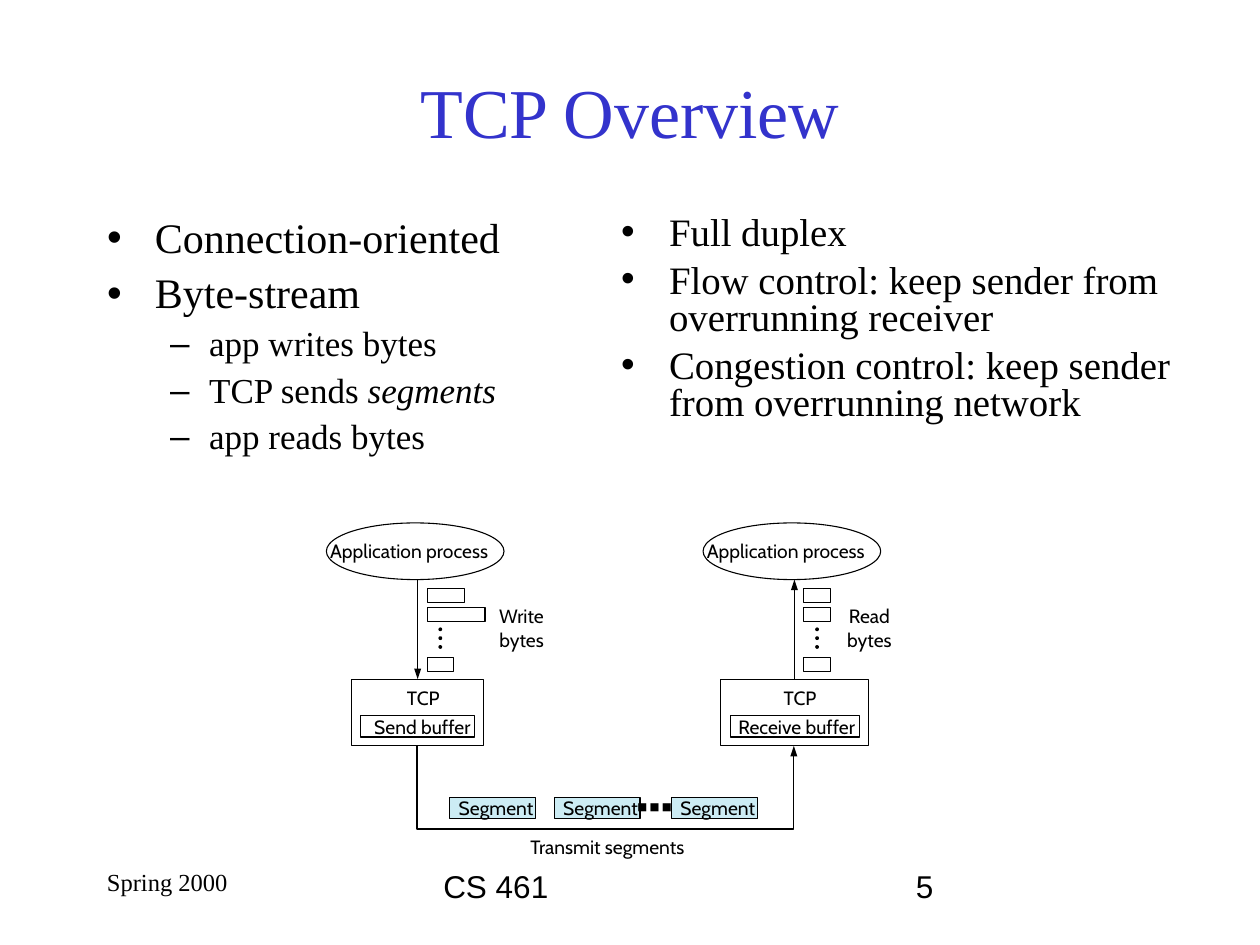
"""Build the TCP Overview slide with its two bullet lists and data-flow diagram."""
from dataclasses import dataclass

from lxml import etree
from pptx import Presentation
from pptx.dml.color import RGBColor
from pptx.enum import shapes, text
from pptx.oxml import ns
from pptx.util import Inches, Pt


@dataclass(frozen=True)
class Theme:
    title: str = "3333CC"
    ink: str = "000000"
    paper: str = "FFFFFF"
    segment: str = "CCECF4"
    serif: str = "Times New Roman"
    sans: str = "Arial"
    diagram: str = "Cabin"
    title_pt: float = 40
    left_pt: float = 24
    sub_pt: float = 20
    right_pt: float = 22.2
    footer_pt: float = 18
    date_pt: float = 14
    label_pt: float = 11
    dots_pt: float = 6
    line_pt: float = 0.62


T = Theme()
RECT, OVAL = shapes.MSO_SHAPE.RECTANGLE, shapes.MSO_SHAPE.OVAL


def write(p, content, size=T.label_pt, font=T.diagram, color=T.ink, italic=False):
    r = p.add_run()
    r.text = content
    r.font.size = Pt(size)
    r.font.name = font
    r.font.italic = italic
    r.font.color.rgb = RGBColor.from_string(color)


def draw(s, kind, x, y, w, h, fill=None):
    sp = s.shapes.add_shape(kind, Inches(x), Inches(y), Inches(w), Inches(h))
    sp.shadow.inherit = False
    if fill:
        sp.fill.solid()
        sp.fill.fore_color.rgb = RGBColor.from_string(fill)
    else:
        sp.fill.background()
    sp.line.color.rgb = RGBColor.from_string(T.ink)
    sp.line.width = Pt(T.line_pt)
    return sp


prs = Presentation()
prs.slide_width, prs.slide_height = Inches(10), Inches(7.5)
s = prs.slides.add_slide(prs.slide_layouts[3])

title = s.shapes.title
title.left, title.top, title.width, title.height = (Inches(v) for v in (0.75, 0.5, 8.5, 0.75))
tf = title.text_frame
tf.auto_size = text.MSO_AUTO_SIZE.NONE
tf.vertical_anchor = text.MSO_ANCHOR.MIDDLE
tf.paragraphs[0].alignment = text.PP_ALIGN.CENTER
write(tf.paragraphs[0], "TCP Overview", T.title_pt, T.serif, T.title)

lists = [
    (1, (0.75, 1.67, 3.5, 2.25), T.left_pt, 0.9, [
        (0, ["Connection-oriented"]),
        (0, ["Byte-stream"]),
        (1, ["app writes bytes"]),
        (1, ["TCP sends ", "segments"]),
        (1, ["app reads bytes"]),
    ]),
    (2, (4.83, 1.67, 4.75, 1.83), T.right_pt, 0.8, [
        (0, ["Full duplex"]),
        (0, ["Flow control: keep sender from overrunning receiver"]),
        (0, ["Congestion control: keep sender from overrunning network"]),
    ]),
]
levels = [("•", 0.38, 0.38, 6), ("–", 0.81, 0.31, 5)]
for idx, frame, size, spacing, items in lists:
    body = s.placeholders[idx]
    body.left, body.top, body.width, body.height = (Inches(v) for v in frame)
    tf = body.text_frame
    tf.auto_size = text.MSO_AUTO_SIZE.NONE
    for i, (level, parts) in enumerate(items):
        p = tf.paragraphs[0] if i == 0 else tf.add_paragraph()
        bullet, margin, hang, before = levels[level]
        p.level = level
        p.line_spacing = spacing
        p.space_before = Pt(before if i else 0)
        pPr = p._p.get_or_add_pPr()
        pPr.set("marL", str(Inches(margin)))
        pPr.set("indent", str(-Inches(hang)))
        etree.SubElement(pPr, ns.qn("a:buChar")).set("char", bullet)
        for n, part in enumerate(parts):
            write(p, part, T.sub_pt if level else size, T.serif, italic=n > 0)

tcp_boxes = [draw(s, RECT, x, 5.39, w, 0.53, T.paper) for x, w in ((2.79, 1.05), (5.72, 1.17))]

SIDE_GAP = 2.99
sides = [("Write", 3.96, (0.3, 0.46, 0.21)), ("Read", 6.72, (0.21, 0.21, 0.21))]
labels = [(4.21, 6.63, 1.39, ["Transmit segments"], T.label_pt),
          (5.06, 6.35, 0.34, ["■ ■ ■"], T.dots_pt)]
for i, (verb, verb_x, widths) in enumerate(sides):
    dx = i * SIDE_GAP
    draw(s, OVAL, 2.59 + dx, 4.15, 1.41, 0.45, T.paper)
    for y, w in zip((4.67, 4.82, 5.22), widths):
        draw(s, RECT, 3.39 + dx, y, w, 0.11)
    for n in range(3):
        dot = draw(s, OVAL, 3.48 + dx, 4.98 + n * 0.07, 0.03, 0.03, T.ink)
        dot.line.fill.background()
    labels += [(2.62 + dx, 4.28, 1.41, ["Application process"], T.label_pt),
               (verb_x, 4.8, 0.36, [verb, "bytes"], T.label_pt),
               (3.23 + dx, 5.45, 0.35, ["TCP"], T.label_pt)]

captioned = [(2.86, 5.68, 0.91, 0.11, "Send buffer", None),
             (5.8, 5.68, 1.02, 0.06, "Receive buffer", None)]
captioned += [(x, 6.33, 0.68, 0.07, "Segment", T.segment) for x in (3.57, 4.4, 5.33)]
for x, y, w, inset, caption, fill in captioned:
    tf = draw(s, RECT, x, y, w, 0.17, fill).text_frame
    tf.margin_left = Inches(inset)
    tf.margin_right = tf.margin_top = tf.margin_bottom = 0
    tf.vertical_anchor = text.MSO_ANCHOR.MIDDLE
    tf.paragraphs[0].alignment = text.PP_ALIGN.LEFT
    write(tf.paragraphs[0], caption)

for x, y, w, lines, size in labels:
    tf = s.shapes.add_textbox(Inches(x), Inches(y), Inches(w), Inches(0.18 * len(lines))).text_frame
    tf.word_wrap = True
    tf.margin_left = tf.margin_right = tf.margin_top = tf.margin_bottom = 0
    for i, line in enumerate(lines):
        p = tf.paragraphs[0] if i == 0 else tf.add_paragraph()
        p.alignment = text.PP_ALIGN.CENTER if len(lines) > 1 else text.PP_ALIGN.LEFT
        write(p, line, size)

send, receive = (
    s.shapes.add_connector(shapes.MSO_CONNECTOR.STRAIGHT, Inches(x), Inches(y1), Inches(x), Inches(y2))
    for x, y1, y2 in ((3.31, 4.6, 5.39), (6.3, 5.39, 4.6)))
send.end_connect(tcp_boxes[0], 0)
send.begin_x = send.end_x
receive.begin_connect(tcp_boxes[1], 0)
receive.end_x = receive.begin_x

fb = s.shapes.build_freeform(Inches(3.31), Inches(5.92))
fb.add_line_segments([(Inches(x), Inches(y)) for x, y in ((3.31, 6.58), (6.3, 6.58), (6.3, 5.92))], close=False)
transmit = fb.convert_to_shape()
transmit.fill.background()

for arrow in (send, receive, transmit):
    arrow.line.color.rgb = RGBColor.from_string(T.ink)
    arrow.line.width = Pt(T.line_pt)
    head = etree.SubElement(arrow.line._get_or_add_ln(), ns.qn("a:tailEnd"))
    for key, value in (("type", "triangle"), ("w", "sm"), ("len", "med")):
        head.set(key, value)
    etree.SubElement(arrow._element.spPr, ns.qn("a:effectLst"))

footers = [(0.75, 2.08, "Spring 2000", T.date_pt, T.serif),
           (3.42, 3.17, "CS 461", T.footer_pt, T.sans),
           (7.17, 2.08, "5", T.footer_pt, T.sans)]
for x, w, content, size, font in footers:
    tf = s.shapes.add_textbox(Inches(x), Inches(6.83), Inches(w), Inches(0.5)).text_frame
    tf.word_wrap = True
    write(tf.paragraphs[0], content, size, font)

prs.save("out.pptx")
